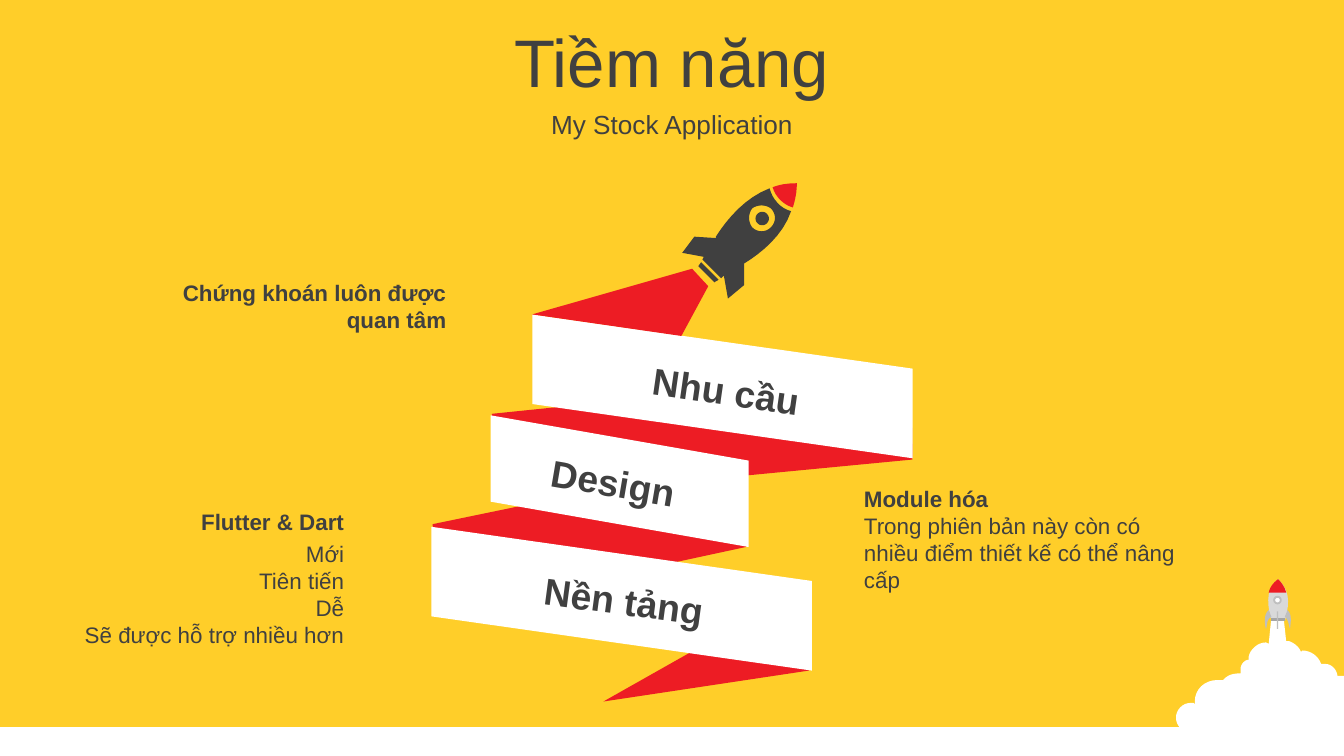
from math import cos, radians, sin

from pptx import Presentation
from pptx.dml.color import RGBColor
from pptx.enum.shapes import MSO_SHAPE
from pptx.enum.text import MSO_ANCHOR, MSO_AUTO_SIZE, PP_ALIGN
from pptx.util import Inches, Pt

RECT, OVAL, PARALLELOGRAM = MSO_SHAPE.RECTANGLE, MSO_SHAPE.OVAL, MSO_SHAPE.PARALLELOGRAM
LEFT, CENTER, RIGHT = PP_ALIGN.LEFT, PP_ALIGN.CENTER, PP_ALIGN.RIGHT
TOP, MIDDLE = MSO_ANCHOR.TOP, MSO_ANCHOR.MIDDLE
FIT = MSO_AUTO_SIZE.SHAPE_TO_FIT_TEXT

THEME = {
    "font": "Arial", "title": 36, "subtitle": 14, "body": 12, "ribbon": 20,
    "yellow": "FFCE29", "white": "FFFFFF", "red": "ED1C24", "dark": "404040",
    "hull": "D9D9D9", "fin": "BFBFBF", "nozzle": "A6A6A6",
}
COLOR = {k: RGBColor.from_string(v) for k, v in THEME.items() if isinstance(v, str) and k != "font"}

# A 16:9 slide, ten grid columns wide
prs = Presentation()
prs.slide_width = Inches(10)
prs.slide_height = prs.slide_width * 9 // 16
U = prs.slide_width // 10  # one grid column, also one grid row
slide = prs.slides.add_slide(prs.slide_layouts[6])
slide.background.fill.solid()
slide.background.fill.fore_color.rgb = COLOR["yellow"]


def outline(color, *contours, turn=0, center=(0, 0)):
    """Contours hold (x, y) corners and six-number Bezier curves; turn tilts the frame."""
    builder = None
    cx, cy = center
    c, s = cos(radians(turn)), sin(radians(turn))
    for contour in contours:
        pts = [contour[0]]
        for step in contour[1:]:
            if len(step) == 2:
                pts.append(step)
                continue
            x0, y0 = pts[-1]
            x1, y1, x2, y2, x3, y3 = step
            for t in (i / 8 for i in range(1, 9)):
                a, b, d, e = (1 - t) ** 3, 3 * t * (1 - t) ** 2, 3 * t * t * (1 - t), t ** 3
                pts.append((a * x0 + b * x1 + d * x2 + e * x3, a * y0 + b * y1 + d * y2 + e * y3))
        pts = [(round(U * (cx + (x - cx) * c + (y - cy) * s)),
                round(U * (cy - (x - cx) * s + (y - cy) * c))) for x, y in pts]
        if builder is None:
            builder = slide.shapes.build_freeform(*pts[0])
        else:
            builder.move_to(*pts[0])
        builder.add_line_segments(pts[1:], close=True)
    sp = builder.convert_to_shape()
    sp.shadow.inherit = False
    sp.rotation = turn
    sp.fill.solid()
    sp.fill.fore_color.rgb = COLOR[color]
    sp.line.fill.background()


def preset(kind, color, x, y, w, h):
    sp = slide.shapes.add_shape(kind, *(round(v * U) for v in (x, y, w, h)))
    sp.shadow.inherit = False
    sp.fill.solid()
    sp.fill.fore_color.rgb = COLOR[color]
    sp.line.fill.background()
    return sp


# Ground strip and smoke cloud
preset(RECT, "white", 0, 5.41, 10, prs.slide_height / U - 5.41)
outline("white", [
    (9.46, 4.59), (9.55, 4.59), (9.57, 4.77), (9.59, 4.77),
    (9.62, 4.78, 9.65, 4.8, 9.67, 4.83), (9.68, 4.85), (9.69, 4.84),
    (9.75, 4.84, 9.81, 4.88, 9.83, 4.94), (9.84, 4.94), (9.86, 4.94),
    (9.9, 4.94, 9.94, 4.97, 9.95, 5.02), (9.95, 5.03), (10, 5.03), (10, 5.6), (9.98, 5.6),
    (9.94, 5.6, 9.9, 5.59, 9.87, 5.57), (9.86, 5.56), (9.85, 5.57),
    (9.83, 5.58, 9.81, 5.59, 9.78, 5.59), (9.75, 5.59, 9.73, 5.57, 9.71, 5.55),
    (9.69, 5.54), (9.69, 5.55), (9.67, 5.58, 9.64, 5.59, 9.6, 5.59),
    (9.57, 5.59, 9.54, 5.58, 9.52, 5.56), (9.51, 5.55), (9.49, 5.56),
    (9.45, 5.59, 9.4, 5.61, 9.34, 5.61), (9.23, 5.61, 9.17, 5.56, 9.13, 5.51),
    (9.11, 5.53, 9.07, 5.54, 9.04, 5.53), (9, 5.52, 8.94, 5.5, 8.93, 5.45),
    (8.93, 5.43), (8.92, 5.44), (8.91, 5.45, 8.89, 5.45, 8.86, 5.45),
    (8.8, 5.45, 8.75, 5.4, 8.75, 5.34), (8.75, 5.28, 8.8, 5.23, 8.86, 5.23),
    (8.88, 5.23), (8.89, 5.24), (8.89, 5.22), (8.89, 5.13, 8.96, 5.06, 9.06, 5.06),
    (9.1, 5.06), (9.11, 5.05), (9.14, 5.02, 9.18, 5.01, 9.23, 5.01), (9.23, 4.98),
    (9.23, 4.95, 9.25, 4.92, 9.28, 4.91), (9.29, 4.91), (9.29, 4.89),
    (9.3, 4.83, 9.36, 4.78, 9.42, 4.78), (9.44, 4.79)])

# Small grey rocket
outline("hull", [(9.46, 4.62), (9.44, 4.53, 9.4, 4.4, 9.51, 4.31),
                 (9.62, 4.41, 9.58, 4.54, 9.56, 4.62)])
outline("nozzle", [(9.46, 4.6), (9.56, 4.6), (9.56, 4.62), (9.46, 4.62)])
outline("red", [(9.51, 4.31), (9.54, 4.34, 9.56, 4.37, 9.57, 4.41), (9.44, 4.41),
                (9.45, 4.37, 9.47, 4.34, 9.51, 4.31)])
porthole = preset(OVAL, "white", 9.48, 4.44, 0.05, 0.05)
porthole.line.color.rgb = COLOR["fin"]
porthole.line.width = Pt(1)
preset(RECT, "fin", 9.5, 4.55, 0.01, 0.13)
outline("fin", [(9.44, 4.54), (9.46, 4.59), (9.42, 4.61, 9.43, 4.66, 9.42, 4.68),
                (9.41, 4.65, 9.4, 4.57, 9.44, 4.54)])
outline("fin", [(9.58, 4.54), (9.56, 4.59), (9.59, 4.61, 9.59, 4.66, 9.6, 4.68),
                (9.6, 4.65, 9.62, 4.57, 9.58, 4.54)])

# Large rocket: nozzle ring, porthole, porthole rim, body
outline(
    "dark",
    [(5.22, 1.95), (5.35, 2.08), (5.34, 2.09, 5.33, 2.09, 5.32, 2.1), (5.2, 1.98)],
    [(5.71, 1.59), (5.73, 1.61, 5.73, 1.64, 5.71, 1.66), (5.69, 1.68, 5.66, 1.68, 5.64, 1.66),
     (5.62, 1.64, 5.62, 1.61, 5.64, 1.59), (5.66, 1.57, 5.69, 1.57, 5.71, 1.59)],
    [(5.74, 1.55), (5.7, 1.52, 5.64, 1.52, 5.6, 1.55), (5.57, 1.59, 5.57, 1.65, 5.6, 1.69),
     (5.64, 1.73, 5.7, 1.73, 5.74, 1.69), (5.78, 1.65, 5.78, 1.59, 5.74, 1.55)],
    [(5.73, 1.4), (5.75, 1.48, 5.81, 1.55, 5.89, 1.57), (5.83, 1.75, 5.67, 1.88, 5.54, 1.96),
     (5.54, 2.12), (5.42, 2.22), (5.39, 2.05), (5.37, 2.07), (5.23, 1.93), (5.24, 1.91),
     (5.08, 1.88), (5.17, 1.76), (5.33, 1.77), (5.33, 1.76), (5.42, 1.62, 5.55, 1.47, 5.73, 1.4)],
    turn=45, center=(5.53, 1.77))
outline("red", [(5.93, 1.37), (5.93, 1.43, 5.92, 1.49, 5.9, 1.55),
                (5.83, 1.53, 5.77, 1.47, 5.75, 1.4), (5.8, 1.38, 5.86, 1.37, 5.93, 1.37)],
        turn=45, center=(5.86, 1.43))

# Ribbon: red folds behind, white bands, then the flame
for fold in (
    [(6.02, 4.99), (4.49, 5.22), (6.03, 4.35)],
    [(5.54, 3.42), (3.22, 3.9), (3.23, 4.57), (5.55, 4.07)],
    [(3.66, 3.08), (6.78, 2.76), (6.79, 3.42), (3.66, 3.72)],
):
    outline("red", fold)
for x, y, w, h, slant in ((4.84, 1.46, 1.07, 2.83, 0.377),
                          (4.12, 2.62, 0.98, 1.92, 0.344),
                          (4.09, 3.04, 1.07, 2.83, 0.377)):
    band = preset(PARALLELOGRAM, "white", x, y, w, h)
    band.adjustments[0] = slant
    band.rotation = 90
outline("red", [(5.15, 2), (3.96, 2.34), (5.07, 2.5), (5.27, 2.13)])

# Text: box, tilt, alignment, anchor, size, line spacing, (text, bold) paragraphs
heading = (0, CENTER, MIDDLE)
for box, tilt, align, anchor, size, spacing, lines in (
    ((0, 0.14, 10, 0.63), *heading, "title", None, [("Tiềm năng", False)]),
    ((0, 0.77, 10, 0.31), *heading, "subtitle", None, [("My Stock Application", False)]),
    ((6.33, 3.56, 2.58, 0.91), 0, LEFT, TOP, "body", None,
     [("Module hóa", True),
      ("Trong phiên bản này còn có nhiều điểm thiết kế có thể nâng cấp", False)]),
    ((1.12, 2.03, 2.3, 0.5), 0, RIGHT, TOP, "body", None,
     [("Chứng khoán luôn được quan tâm", True)]),
    ((0.36, 3.97, 2.3, 1.11), 0, RIGHT, TOP, "body", None,
     [(t, False) for t in ("Mới", "Tiên tiến", "Dễ", "Sẽ được hỗ trợ nhiều hơn")]),
    ((0.36, 3.73, 2.3, 0.3), 0, RIGHT, TOP, "body", None, [("Flutter & Dart", True)]),
    ((3.63, 4.16, 2.03, 0.58), 7.6, CENTER, MIDDLE, "ribbon", 1.1, [("Nền tảng", True)]),
    ((3.56, 3.28, 2.01, 0.58), 9.7, CENTER, MIDDLE, "ribbon", 1.1, [("Design", True)]),
    ((4.4, 2.6, 2.01, 0.58), 8.3, CENTER, MIDDLE, "ribbon", 1.1, [("Nhu cầu", True)]),
):
    s = slide.shapes.add_textbox(*(round(v * U) for v in box))
    s.rotation = tilt
    tf = s.text_frame
    tf.word_wrap = True
    tf.vertical_anchor = anchor
    if size == "body":
        tf.auto_size = FIT
    for i, (text, bold) in enumerate(lines):
        p = tf.add_paragraph() if i else tf.paragraphs[0]
        p.alignment = align
        p.line_spacing = spacing
        r = p.add_run()
        r.text = text
        r.font.name, r.font.size, r.font.bold = THEME["font"], Pt(THEME[size]), bold
        r.font.color.rgb = COLOR["dark"]

prs.save("out.pptx")
